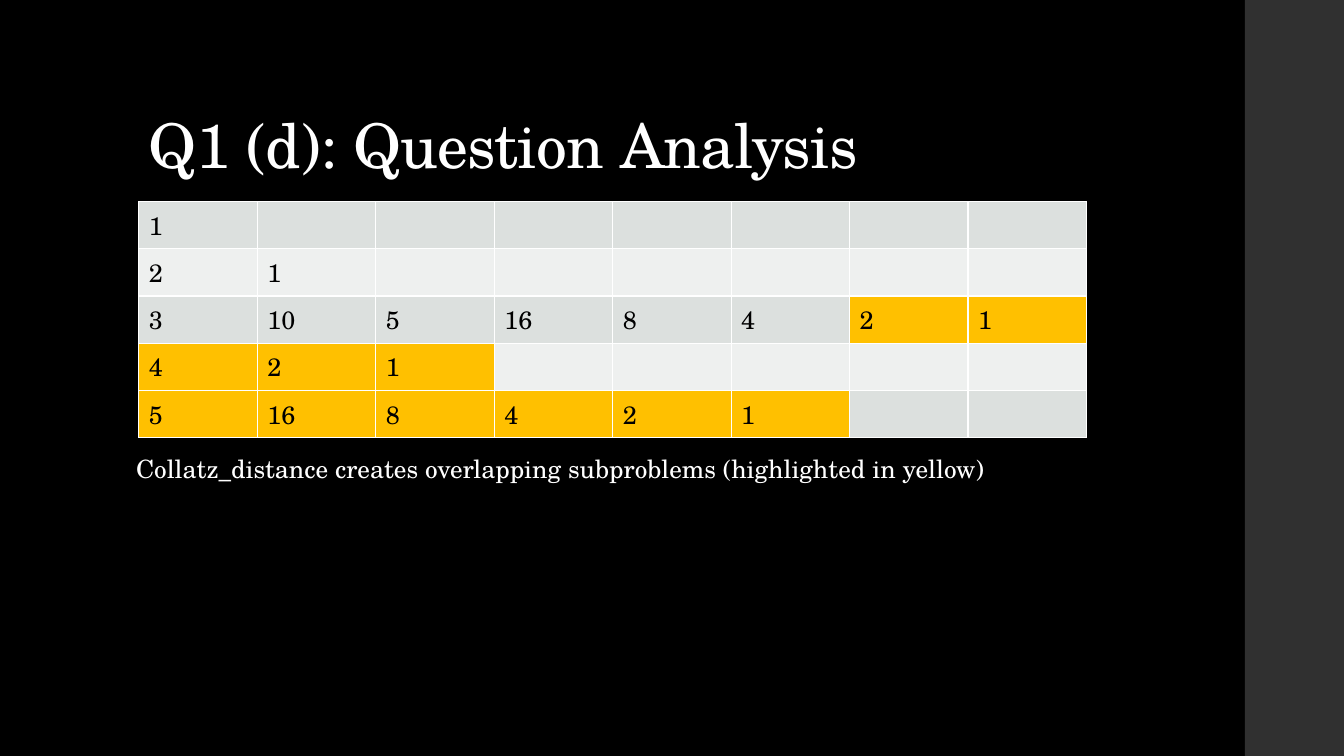
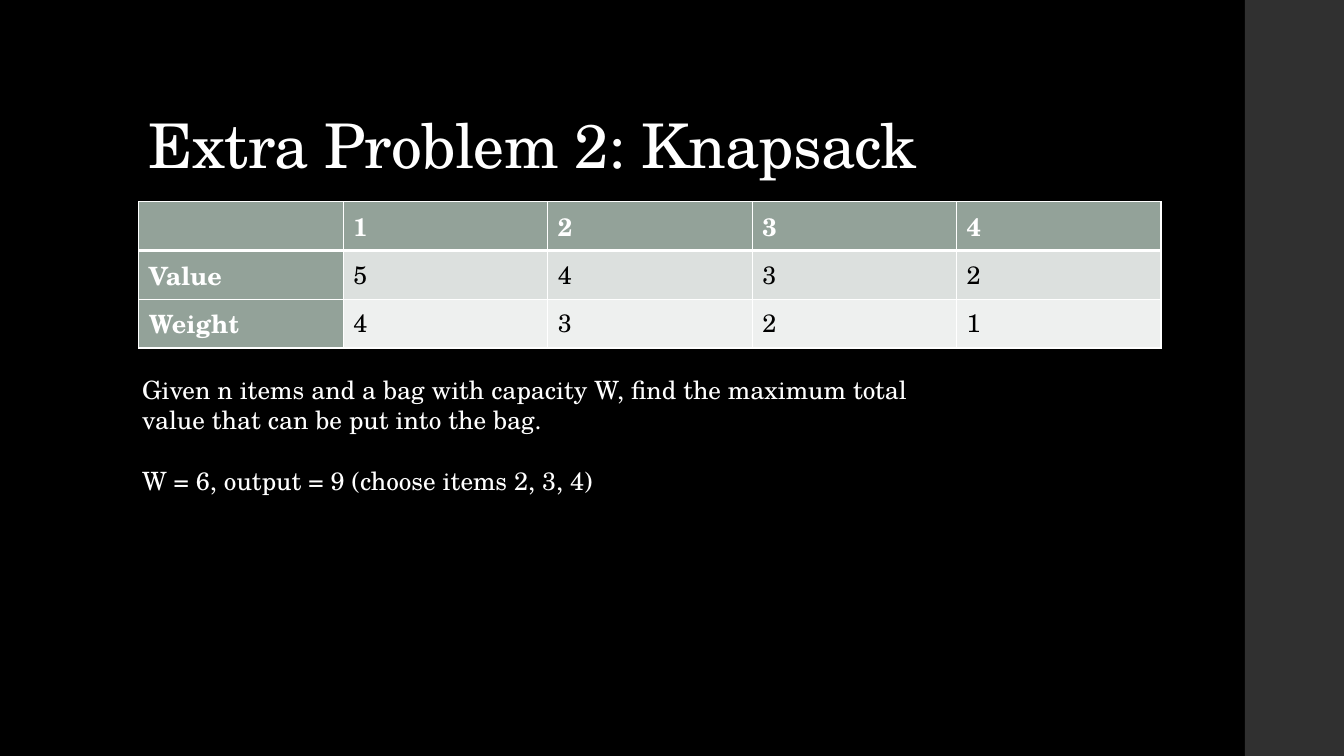
"""Build two dark slides on overlapping subproblems and the knapsack problem."""
import lxml.etree
import pptx
import pptx.dml.color
import pptx.enum.shapes
import pptx.enum.text
import pptx.oxml
import pptx.oxml.ns
import pptx.util

Cm = pptx.util.Cm
Pt = pptx.util.Pt
RGBColor = pptx.dml.color.RGBColor

BLACK = RGBColor(0x00, 0x00, 0x00)
WHITE = RGBColor(0xFF, 0xFF, 0xFF)
CHARCOAL = RGBColor(0x30, 0x30, 0x30)
SAGE = RGBColor(0x93, 0xA2, 0x99)
YELLOW = RGBColor(0xFF, 0xC0, 0x00)
BANDS = (RGBColor(0xDC, 0xE0, 0xDE), RGBColor(0xEE, 0xF0, 0xEF))

LEFT = Cm(3.5)
TABLE_TOP = Cm(5.08)
BODY = {"name": "TeX Gyre Schola", "size": Pt(18), "color": WHITE, "bold": False}
TITLE = {**BODY, "size": Pt(44)}
CELL = {**BODY, "color": BLACK}
HEADER = {**BODY, "bold": True}


class Deck:
    """Hold the shared style and the slide being drawn."""

    def __init__(self):
        self.deck = pptx.Presentation()
        self.deck.slide_width = Cm(33.87)
        self.deck.slide_height = Cm(19.05)
        self.page = None

    def format_font(self, font, style):
        """Apply a dict of format values to a font."""
        for name, value in style.items():
            if name == "color":
                font.color.rgb = value
            else:
                setattr(font, name, value)

    def add_page(self, title):
        """Start a slide with its background, side band and title."""
        self.page = self.deck.slides.add_slide(self.deck.slide_layouts[6])
        background = self.page.background.fill
        background.solid()
        background.fore_color.rgb = BLACK
        band = self.page.shapes.add_shape(
            pptx.enum.shapes.MSO_SHAPE.RECTANGLE,
            Cm(31.37), 0, Cm(2.5), self.deck.slide_height)
        band.shadow.inherit = False
        band.fill.solid()
        band.fill.fore_color.rgb = CHARCOAL
        band.line.fill.background()
        box = self.add_text([title], LEFT, Cm(1.02), Cm(26.92), Cm(3.68), TITLE)
        box.text_frame.vertical_anchor = pptx.enum.text.MSO_ANCHOR.BOTTOM
        para = box.text_frame.paragraphs[0]
        para.line_spacing = 0.9
        para.runs[0]._r.get_or_add_rPr().set("spc", "-50")

    def add_text(self, lines, left, top, width, height, style=BODY, wrap=True, gap=0):
        """Add a text box with one paragraph per line."""
        box = self.page.shapes.add_textbox(left, top, width, height)
        frame = box.text_frame
        frame.word_wrap = wrap
        for index, line in enumerate(lines):
            para = frame.add_paragraph() if index else frame.paragraphs[0]
            if index:
                para.space_before = Pt(gap)
            span = para.add_run()
            span.text = line
            self.format_font(span.font, style)
        return box

    def add_border(self, cell, side, width):
        """Draw one white border of a cell."""
        line = lxml.etree.SubElement(
            cell._tc.get_or_add_tcPr(), pptx.oxml.ns.qn(f"a:ln{side}"), w=str(Pt(width)))
        fill = lxml.etree.SubElement(line, pptx.oxml.ns.qn("a:solidFill"))
        lxml.etree.SubElement(fill, pptx.oxml.ns.qn("a:srgbClr"), val=str(WHITE))

    def add_table(self, rows, columns, width, row_height, header=False, highlights=()):
        """Add a banded table with optional headers and highlighted cells."""
        table = self.page.shapes.add_table(
            len(rows), columns, LEFT, TABLE_TOP, width, row_height * len(rows)).table
        table.first_row = table.horz_banding = False
        for row, values in enumerate(rows):
            table.rows[row].height = row_height
            for column in range(columns):
                cell = table.cell(row, column)
                is_header = header and 0 in (row, column)
                thick = {"T": 1, "B": 0}
                for side in "LRTB":
                    heavy = header and row == thick.get(side)
                    self.add_border(cell, side, 3 if heavy else 1)
                color = SAGE if is_header else BANDS[(row - header) % 2]
                cell.fill.solid()
                cell.fill.fore_color.rgb = YELLOW if (row, column) in highlights else color
                para = cell.text_frame.paragraphs[0]
                style = HEADER if is_header else CELL
                if column < len(values) and values[column]:
                    span = para.add_run()
                    span.text = values[column]
                    self.format_font(span.font, style)
                else:
                    self.format_font(para.font, style)


def collatz(number):
    """Return the Collatz sequence from a number down to 1."""
    sequence = [number]
    while number != 1:
        number = 3 * number + 1 if number % 2 else number // 2
        sequence.append(number)
    return [str(value) for value in sequence]


def main():
    """Build both slides and save the deck."""
    slides = Deck()

    slides.add_page("Q1 (d): Question Analysis")
    sequences = [collatz(number) for number in range(1, 6)]
    overlap_starts = {2: 6, 3: 0, 4: 0}
    overlaps = {(row, column) for row, start in overlap_starts.items()
                for column in range(start, len(sequences[row]))}
    slides.add_table(sequences, 8, Cm(23.88), Cm(1.19), highlights=overlaps)
    slides.add_text(
        ["Collatz_distance creates overlapping subproblems (highlighted in yellow)"],
        Cm(3.18), Cm(11.3), Cm(21.95), Cm(1.02), wrap=False)

    slides.add_page("Extra Problem 2: Knapsack")
    items = [
        ["", "1", "2", "3", "4"],
        ["Value", "5", "4", "3", "2"],
        ["Weight", "4", "3", "2", "1"],
    ]
    slides.add_table(items, 5, Cm(25.76), Cm(1.23), header=True)
    slides.add_text(
        ["Given n items and a bag with capacity W, find the maximum total value "
         "that can be put into the bag.",
         "W = 6, output = 9 (choose items 2, 3, 4)"],
        Cm(3.33), Cm(9.3), Cm(19.94), Cm(3.33), gap=21.7)

    slides.deck.save("out.pptx")


if __name__ == "__main__":
    main()
